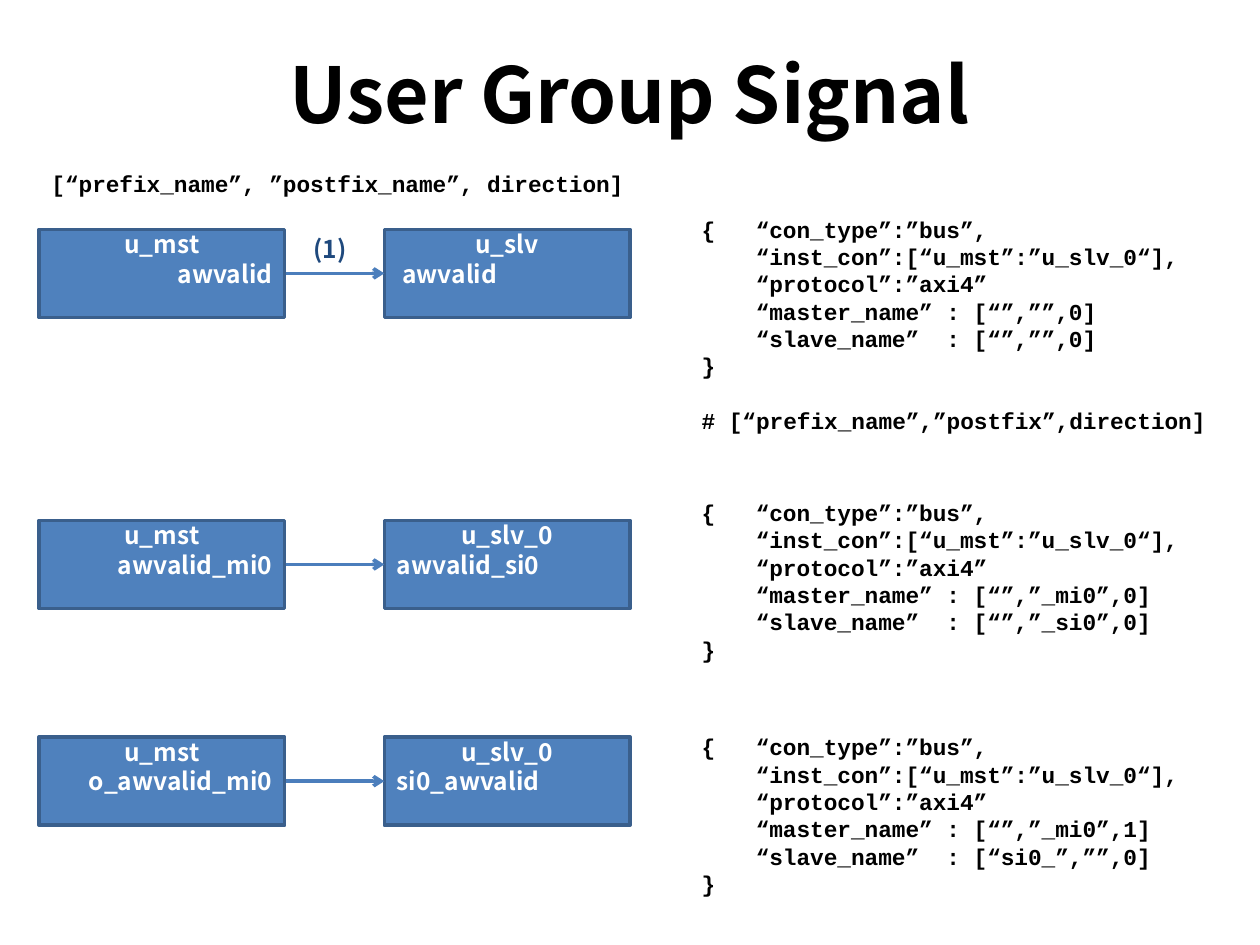
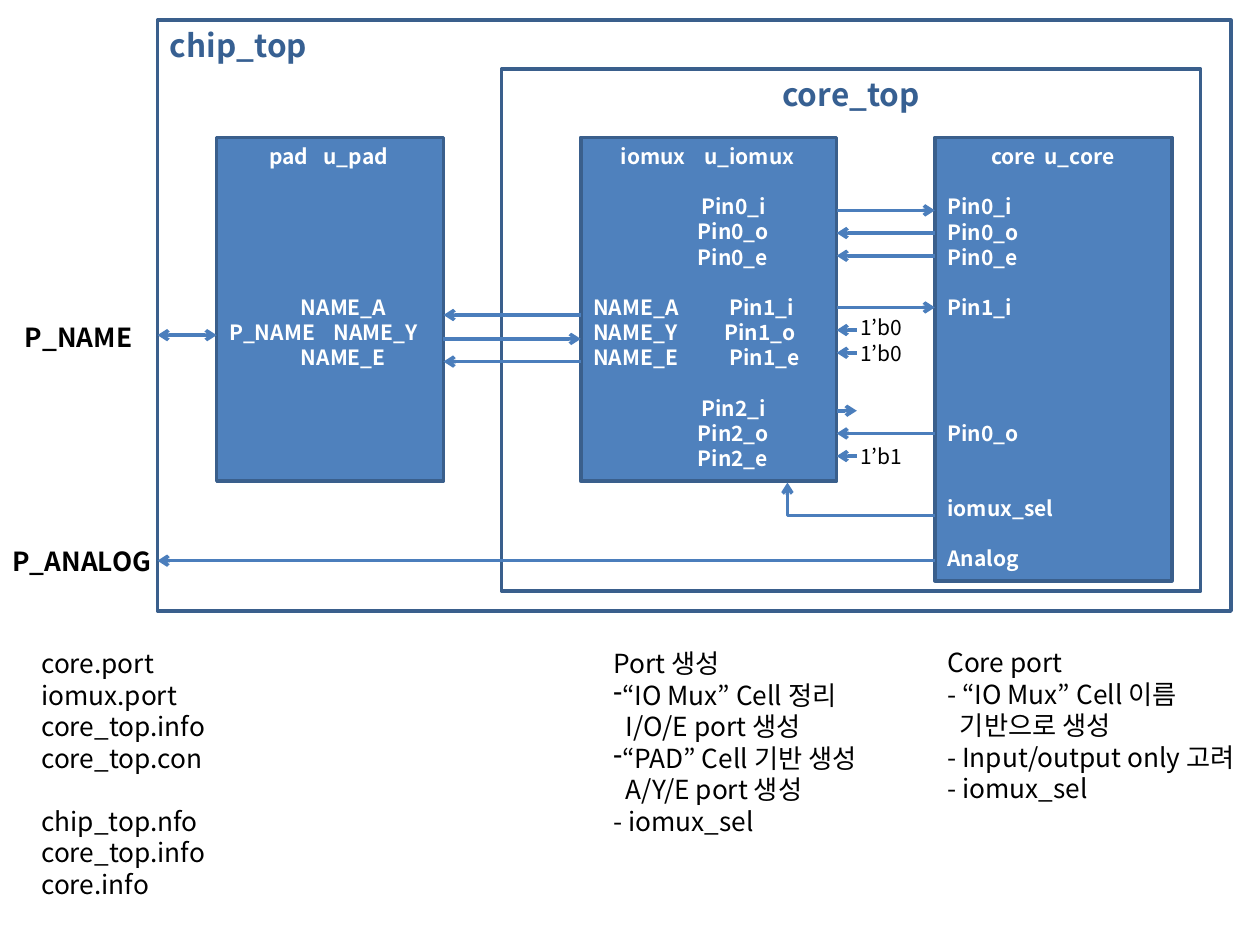
from dataclasses import dataclass
from pptx import Presentation
from pptx.dml.color import RGBColor
from pptx.enum.shapes import MSO_CONNECTOR, MSO_SHAPE
from pptx.enum.text import MSO_ANCHOR, PP_ALIGN
from pptx.oxml.ns import qn
from pptx.util import Inches, Pt
from lxml.etree import SubElement

SANS = "Noto Sans CJK KR"
MONO = "Courier New"
BLACK, WHITE = "000000", "FFFFFF"
BLUE, EDGE, ARROW = "4F81BD", "3A5F8C", "4B7EBC"
NAVY, HEADING = "1F497D", "376092"
LINE_RATIO = 1.196


@dataclass
class Line:
    text: str
    align: PP_ALIGN = PP_ALIGN.LEFT
    gap: int = 0
    indent: float = 0
    hanging: float = 0
    bullet: str = ""
    tabs: tuple = ()


def color(hex_string):
    return RGBColor.from_string(hex_string)


def write(frame, lines, size=12, font=SANS, ink=BLACK, bold=False):
    for index, line in enumerate(lines):
        if isinstance(line, str):
            line = Line(line)
        para = frame.paragraphs[0] if index == 0 else frame.add_paragraph()
        para.alignment = line.align
        if line.gap:
            para.space_before = Pt(round(line.gap * size * LINE_RATIO, 2))
        props = para._p.get_or_add_pPr()
        if line.indent:
            props.set("marL", str(Inches(line.indent)))
            props.set("indent", str(-Inches(line.hanging)))
        if line.bullet:
            SubElement(props, qn("a:buChar"), char=line.bullet)
        if line.tabs:
            stops = SubElement(props, qn("a:tabLst"))
            for position in line.tabs:
                SubElement(stops, qn("a:tab"), pos=str(Inches(position)), algn="l")
        span = para.add_run()
        span.text = line.text
        span.font.size = Pt(size)
        span.font.bold = bold
        span.font.color.rgb = color(ink)
        span.font.name = font
        SubElement(span._r.get_or_add_rPr(), qn("a:ea"), typeface=font)


def add_text(page, box, lines, **text_format):
    label = page.shapes.add_textbox(*map(Inches, box))
    label.text_frame.word_wrap = True
    write(label.text_frame, lines, **text_format)


def add_block(page, box, lines, fill=BLUE, top_inset=0.05, **text_format):
    block = page.shapes.add_shape(MSO_SHAPE.RECTANGLE, *map(Inches, box))
    block.shadow.inherit = False
    block.fill.solid()
    block.fill.fore_color.rgb = color(fill)
    block.line.color.rgb = color(EDGE)
    block.line.width = Pt(2)
    frame = block.text_frame
    frame.word_wrap = True
    frame.vertical_anchor = MSO_ANCHOR.TOP
    frame.margin_top = Inches(top_inset)
    write(frame, lines, **text_format)


def style_arrow(shape, both_ends=False):
    shape.line.color.rgb = color(ARROW)
    shape.line.width = Pt(2)
    outline = shape.line._get_or_add_ln()
    if both_ends:
        SubElement(outline, qn("a:headEnd"), type="arrow")
    SubElement(outline, qn("a:tailEnd"), type="arrow")


def add_arrow(page, start_x, end_x, y, both_ends=False):
    arrow = page.shapes.add_connector(
        MSO_CONNECTOR.STRAIGHT, *map(Inches, (start_x, y, end_x, y)))
    style_arrow(arrow, both_ends)
    SubElement(arrow._element.spPr, qn("a:effectLst"))


def add_elbow(page, points):
    corners = [tuple(map(Inches, point)) for point in points]
    builder = page.shapes.build_freeform(*corners[0], scale=1.0)
    builder.add_line_segments(corners[1:], close=False)
    elbow = builder.convert_to_shape()
    elbow.shadow.inherit = False
    elbow.fill.background()
    style_arrow(elbow)


def add_link(page, left, top, master_port, slave, slave_port):
    width, height, slave_offset = 1.95, 0.7, 2.74
    ends = (
        (0, "u_mst", master_port, PP_ALIGN.RIGHT),
        (slave_offset, slave, slave_port, PP_ALIGN.LEFT),
    )
    for offset, name, port, align in ends:
        add_block(page, (left + offset, top, width, height),
                  [Line(name, PP_ALIGN.CENTER), Line(port, align)],
                  top_inset=0, size=14, ink=WHITE, bold=True)
    add_arrow(page, left + width + 0.01, left + slave_offset, top + height / 2)


def add_settings(page, box, master, slave, remark=None):
    indent = 0.43
    lines = [Line("{\t“con_type”:”bus”,", indent=indent, hanging=indent)]
    lines += [Line(text, indent=indent) for text in (
        "“inst_con”:[“u_mst”:”u_slv_0“],",
        "“protocol”:”axi4”",
        f"“master_name” : [{master}]",
        f"“slave_name”  : [{slave}]",
    )]
    lines.append("}")
    if remark:
        lines.append(Line(remark, gap=1))
    add_text(page, box, lines, size=13, font=MONO, bold=True)


def add_module(page, box, heading, heading_tabs, rows):
    lines = [Line(heading, tabs=heading_tabs)]
    previous = 0
    for slot, text, tab in rows:
        lines.append(Line(text, gap=slot - previous - 1, tabs=(tab,) if tab else ()))
        previous = slot
    add_block(page, box, lines, ink=WHITE, bold=True)


def build_signal_page(deck):
    page = deck.slides.add_slide(deck.slide_layouts[5])
    title = page.shapes.title
    title.left, title.top, title.width, title.height = map(Inches, (0.5, 0.3, 9, 0.87))
    title.text_frame.vertical_anchor = MSO_ANCHOR.MIDDLE
    write(title.text_frame, [Line("User Group Signal", PP_ALIGN.CENTER)], size=44, bold=True)
    add_text(page, (0.31, 1.3, 7.19, 0.32),
             ["[“prefix_name”, ”postfix_name”, direction]"],
             size=13, font=MONO, bold=True)
    links = (
        (1.82, "awvalid", "u_slv", " awvalid"),
        (4.13, "awvalid_mi0", "u_slv_0", "awvalid_si0"),
        (5.85, "o_awvalid_mi0", "u_slv_0", "si0_awvalid"),
    )
    for top, *names in links:
        add_link(page, 0.31, top, *names)
    add_text(page, (2.11, 1.81, 1.02, 0.34), [Line("(1)", PP_ALIGN.CENTER)],
             size=14, ink=NAVY, bold=True)
    settings = (
        (1.66, 1.85, "“”,””,0", "“”,””,0", "# [“prefix_name”,”postfix”,direction]"),
        (3.91, 1.63, "“”,”_mi0”,0", "“”,”_si0”,0", None),
        (5.77, 1.63, "“”,”_mi0”,1", "“si0_”,””,0", None),
    )
    for top, height, *values in settings:
        add_settings(page, (5.47, top, 4.45, height), *values)


def add_chip_diagram(page, left, top):
    def place(x, y, width, height):
        return left + x, top + y, width, height

    pad_left, pad_right = left + 0.47, left + 2.27
    mux_left, mux_right = left + 3.36, left + 5.39
    core_left, stub = left + 6.17, left + 5.55

    add_block(page, place(0, 0, 8.52, 4.69), ["chip_top"],
              fill=WHITE, size=18, ink=HEADING, bold=True)
    add_block(page, place(2.73, 0.39, 5.55, 4.14), [Line("core_top", PP_ALIGN.CENTER)],
              fill=WHITE, size=18, ink=HEADING, bold=True)
    add_text(page, place(5.48, 2.29, 0.55, 0.5), ["1’b0", "1’b0"])
    add_text(page, place(5.48, 3.31, 0.55, 0.3), ["1’b1"])

    add_module(page, place(0.47, 0.93, 1.8, 2.73), "\tpad\tu_pad", (0.32, 0.75), [
        (6, "\tNAME_A", 0.57),
        (7, "P_NAME\tNAME_Y", 0.83),
        (8, "\tNAME_E", 0.57),
    ])
    add_module(page, place(3.36, 0.93, 2.03, 2.73), "\tiomux\tu_iomux", (0.22, 0.88), [
        (2, "\tPin0_i", 0.86),
        (3, "\tPin0_o", 0.83),
        (4, "\tPin0_e", 0.83),
        (6, "NAME_A\tPin1_i", 1.08),
        (7, "NAME_Y\tPin1_o", 1.04),
        (8, "NAME_E\tPin1_e", 1.08),
        (10, "\tPin2_i", 0.86),
        (11, "\tPin2_o", 0.83),
        (12, "\tPin2_e", 0.83),
    ])
    core_pins = ((2, "Pin0_i"), (3, "Pin0_o"), (4, "Pin0_e"), (6, "Pin1_i"),
                 (11, "Pin0_o"), (14, "iomux_sel"), (16, "Analog"))
    add_module(page, place(6.17, 0.93, 1.88, 3.52), "\tcore\tu_core", (0.35, 0.77),
               [(slot, pin, None) for slot, pin in core_pins])

    wires = (
        (mux_right, core_left, (1.51, 2.28)),
        (core_left, mux_right, (1.69, 1.87, 3.28)),
        (stub, mux_right, (2.46, 2.64, 3.46)),
        (mux_right, stub, (3.1,)),
        (mux_left, pad_right, (2.34, 2.71)),
        (pad_right, mux_left, (2.53,)),
        (core_left, left, (4.29,)),
    )
    for start, end, offsets in wires:
        for offset in offsets:
            add_arrow(page, start, end, top + offset)
    add_arrow(page, pad_left, left, top + 2.5, both_ends=True)
    select_y = top + 3.93
    add_elbow(page, [(core_left, select_y), (left + 5, select_y), (left + 5, top + 3.67)])


def build_chip_page(deck):
    page = deck.slides.add_slide(deck.slide_layouts[6])
    add_chip_diagram(page, 1.25, 0.16)
    for x, y, name in ((0.1, 2.5, "P_NAME"), (0, 4.28, "P_ANALOG")):
        add_text(page, (x, y, 1.33, 0.35), [name], size=15, bold=True)
    remarks = (
        ((0.23, 5.09, 2.27, 2.37), [
            "core.port", "iomux.port", "core_top.info", "core_top.con",
            Line("chip_top.nfo", gap=1), "core_top.info", "core.info",
        ]),
        ((4.77, 5.09, 2.27, 1.87), [
            "Port 생성",
            Line("“IO Mux” Cell 정리", bullet="-"),
            Line("I/O/E port 생성", indent=0.1),
            Line("“PAD” Cell 기반 생성", bullet="-"),
            Line("A/Y/E port 생성", indent=0.1),
            "- iomux_sel",
        ]),
        ((7.42, 5.08, 2.58, 1.62), [
            "Core port",
            "- “IO Mux” Cell 이름",
            Line("기반으로 생성", indent=0.1),
            "- Input/output only 고려",
            "- iomux_sel",
        ]),
    )
    for box, lines in remarks:
        add_text(page, box, lines, size=15)


deck = Presentation()
deck.slide_width, deck.slide_height = Inches(10), Inches(7.5)
build_signal_page(deck)
build_chip_page(deck)
deck.save("out.pptx")
